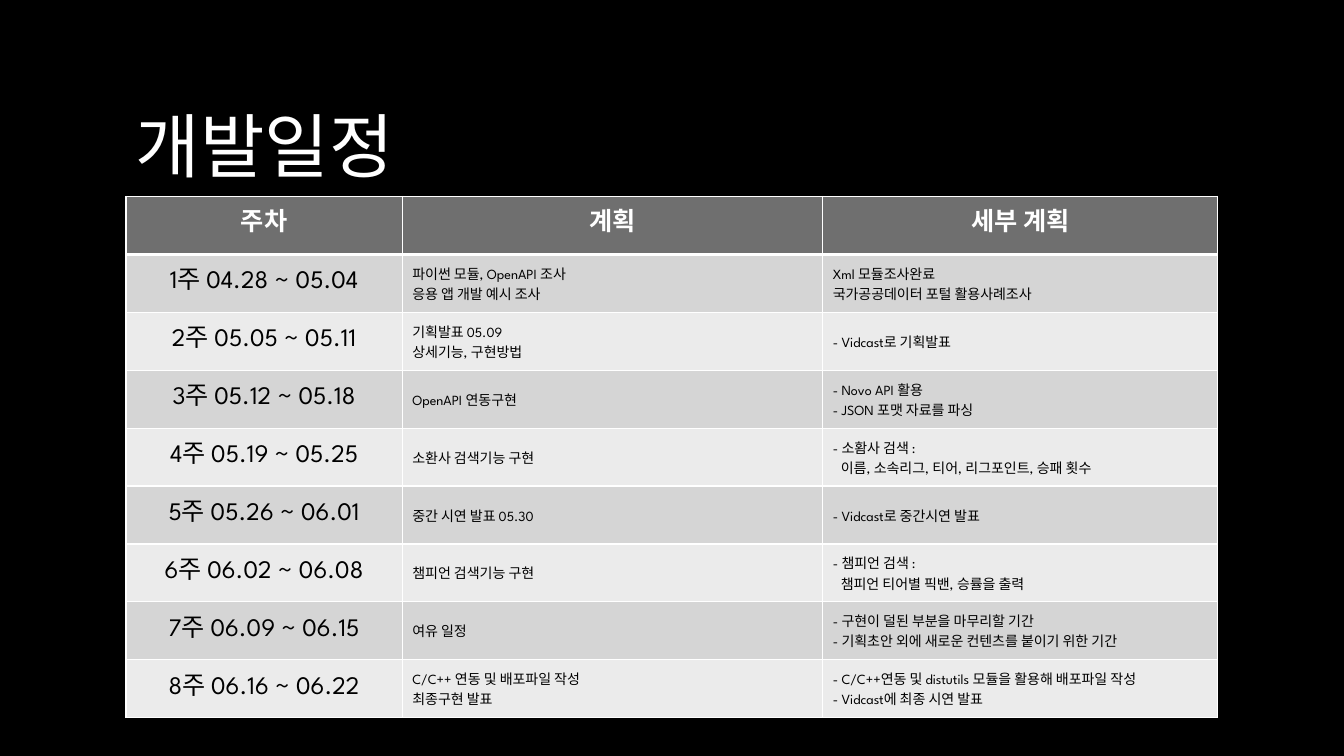
import pptx
import pptx.util
import pptx.dml.color
import pptx.enum.text
import pptx.oxml.ns
import lxml.etree

Inches = pptx.util.Inches
Pt = pptx.util.Pt
ALIGN = pptx.enum.text.PP_ALIGN
ANCHOR = pptx.enum.text.MSO_ANCHOR
qn = pptx.oxml.ns.qn

COLORS = {
    "back": "000000",
    "white": "FFFFFF",
    "ink": "000000",
    "head": "6F6F6F",
    "odd": "D5D5D5",
    "even": "EBEBEB",
}
HEADS = ["주차", "계획", "세부 계획"]
# Week dates, plan lines, detail lines; a tab marks an indented line
WEEKS = [
    ("04.28 ~ 05.04", "파이썬 모듈, OpenAPI 조사\n응용 앱 개발 예시 조사",
     "Xml 모듈조사완료\n국가공공데이터 포털 활용사례조사"),
    ("05.05 ~ 05.11", "기획발표 05.09\n상세기능, 구현방법", "- Vidcast로 기획발표"),
    ("05.12 ~ 05.18", "OpenAPI 연동구현",
     "- Novo API 활용\n- JSON 포맷 자료를 파싱"),
    ("05.19 ~ 05.25", "소환사 검색기능 구현",
     "- 소홤사 검색 :\n\t이름, 소속리그, 티어, 리그포인트, 승패 횟수"),
    ("05.26 ~ 06.01", "중간 시연 발표 05.30", "- Vidcast로 중간시연 발표"),
    ("06.02 ~ 06.08", "챔피언 검색기능 구현",
     "- 챔피언 검색 :\n\t챔피언 티어별 픽밴, 승률을 출력"),
    ("06.09 ~ 06.15", "여유 일정",
     "- 구현이 덜된 부분을 마무리할 기간\n"
     "- 기획초안 외에 새로운 컨텐츠를 붙이기 위한 기간"),
    ("06.16 ~ 06.22", "C/C++ 연동 및 배포파일 작성\n최종구현 발표",
     "- C/C++연동 및 distutils 모듈을 활용해 배포파일 작성\n"
     "- Vidcast에 최종 시연 발표"),
]


class Deck:
    latin = "League Spartan"
    hangul = "Noto Sans CJK KR"

    def __init__(self):
        self.file = pptx.Presentation()
        self.file.slide_width = Inches(13.33)
        self.file.slide_height = Inches(7.5)
        self.slide = self.file.slides.add_slide(self.file.slide_layouts[6])
        fill = self.slide.background.fill
        fill.solid()
        fill.fore_color.rgb = self.color("back")

    def color(self, name):
        return pptx.dml.color.RGBColor.from_string(COLORS[name])

    def label(self, frame, text, size, color, face, bold=False, align=ALIGN.LEFT):
        frame.text = text.replace("\t", "")
        for para, line in zip(frame.paragraphs, text.split("\n")):
            para.alignment = align
            if line.startswith("\t"):
                para._p.get_or_add_pPr().set("marL", str(Inches(0.08)))
            for run in para.runs:
                font = run.font
                font.size, font.bold, font.name = Pt(size), bold, face
                font.color.rgb = self.color(color)
                asian = lxml.etree.SubElement(run._r.get_or_add_rPr(), qn("a:ea"))
                asian.set("typeface", self.hangul)

    def title(self, text, left, top, width, height):
        box = self.slide.shapes.add_textbox(
            Inches(left), Inches(top), Inches(width), Inches(height))
        frame = box.text_frame
        frame.word_wrap = True
        frame.vertical_anchor = ANCHOR.MIDDLE
        self.label(frame, text, 50, "white", self.hangul)

    def border(self, cell, widths):
        props = cell._tc.get_or_add_tcPr()
        for side, width in widths.items():
            line = lxml.etree.SubElement(props, qn("a:ln" + side))
            line.set("w", str(Pt(width)))
            fill = lxml.etree.SubElement(line, qn("a:solidFill"))
            tone = lxml.etree.SubElement(fill, qn("a:srgbClr"))
            tone.set("val", COLORS["white"])

    def cell(self, cell, text, fill, size, color, bold, align, anchor, widths):
        self.label(cell.text_frame, text, size, color, self.latin, bold, align)
        cell.vertical_anchor = anchor
        self.border(cell, widths)
        cell.fill.solid()
        cell.fill.fore_color.rgb = self.color(fill)

    def table(self, rows, cols, left, top, height):
        grid = self.slide.shapes.add_table(
            len(rows), len(cols), Inches(left), Inches(top),
            Inches(sum(cols)), Inches(height)).table
        grid.first_row = grid.horz_banding = False
        for col, width in zip(grid.columns, cols):
            col.width = Inches(width)
        for r, row in enumerate(rows):
            grid.rows[r].height = Inches(height / len(rows))
            head = r == 0
            fill = "head" if head else "odd" if r % 2 else "even"
            widths = {"L": 1, "R": 1, "T": 3 if r == 1 else 1, "B": 3 if head else 1}
            for c, text in enumerate(row):
                large = head or c == 0
                self.cell(grid.cell(r, c), text, fill, 18 if large else 10,
                          "white" if head else "ink", head,
                          ALIGN.CENTER if large else ALIGN.LEFT,
                          ANCHOR.TOP if large else ANCHOR.MIDDLE, widths)

    def save(self):
        self.file.save("out.pptx")


def main():
    deck = Deck()
    # Heading
    deck.title("개발일정", 1.25, 0.67, 10.83, 1.52)
    # Weekly schedule
    weeks = [(f"{n}주 {dates}", plan, detail)
             for n, (dates, plan, detail) in enumerate(WEEKS, 1)]
    deck.table([HEADS] + weeks, [2.74, 4.17, 3.92], 1.25, 1.95, 5.17)
    deck.save()


if __name__ == "__main__":
    main()
